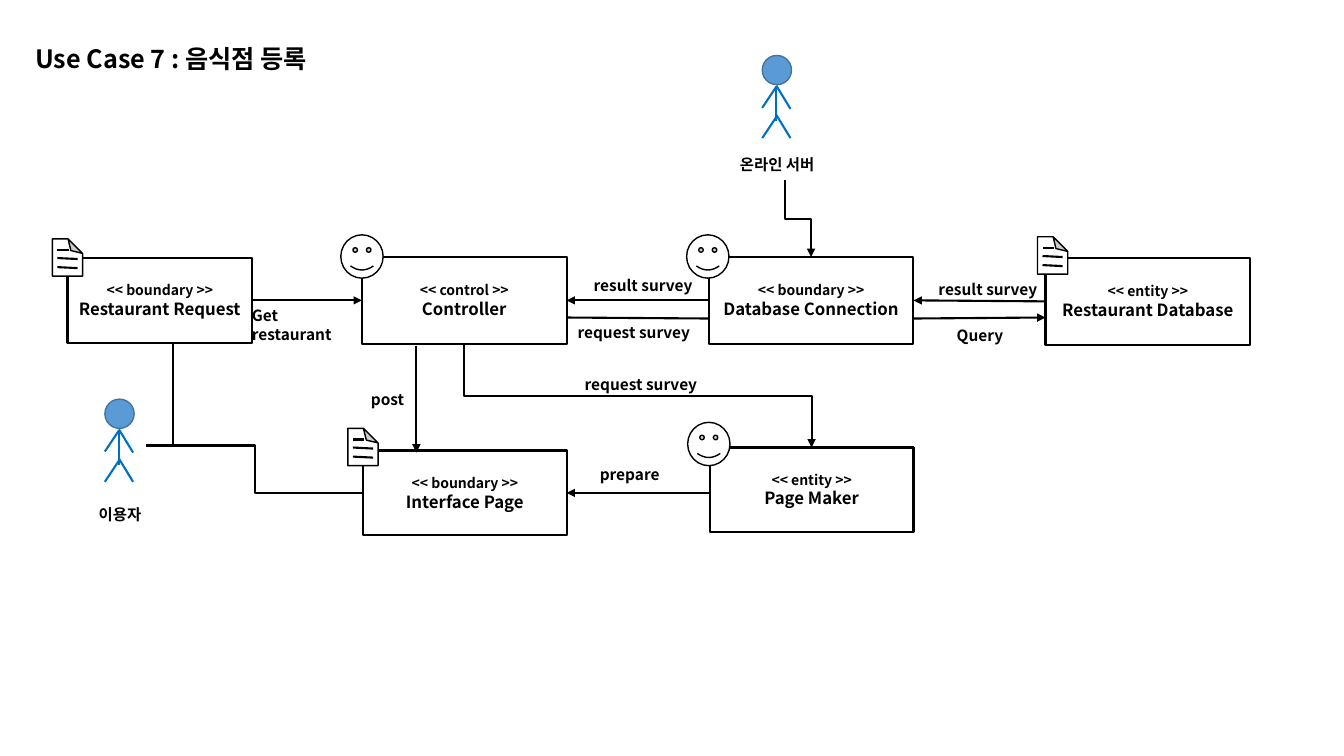
"""Draw the restaurant registration use case as a class collaboration slide."""
from dataclasses import dataclass
from typing import Any, Optional

from pptx import Presentation
from pptx.dml.color import RGBColor
from pptx.enum.shapes import MSO_CONNECTOR, MSO_SHAPE
from pptx.enum.text import MSO_ANCHOR, MSO_AUTO_SIZE, PP_ALIGN
from pptx.oxml.ns import qn
from pptx.util import Inches, Pt

BLACK = RGBColor(0x00, 0x00, 0x00)
WHITE = RGBColor(0xFF, 0xFF, 0xFF)
HEAD = RGBColor(0x5B, 0x9B, 0xD5)
RIM = RGBColor(0x43, 0x73, 0x9E)
LIMB = RGBColor(0x00, 0x70, 0xC0)
FONT = "Noto Sans CJK KR"
WIDE, HIGH = Inches(13.33), Inches(7.5)
COLS, ROWS = 1333, 750
TOP, LEFT, BOTTOM, RIGHT = range(4)
PAGE_LINES = ((5, 28, 25, 29), (5, 19, 25, 20), (5, 11, 16, 11))
LIMBS = ((14, 31, 14, 65), (14, 31, 0, 52), (14, 30, 28, 53),
         (14, 61, 0, 82), (14, 59, 28, 82))


@dataclass
class Box:
    kind: str
    name: str
    col: int
    row: int
    cols: int
    rows: int


@dataclass
class Mark:
    col: int
    row: int


@dataclass
class Actor:
    name: str
    col: int
    row: int
    shift: int
    drop: int
    cols: int


@dataclass
class Label:
    text: str
    col: int
    row: int
    cols: int


@dataclass
class Wire:
    start: tuple[int, int]
    end: tuple[int, int]
    arrow: bool = True
    bent: bool = False
    down: bool = False
    tail: Optional[tuple[str, int]] = None
    tip: Optional[tuple[str, int]] = None


BOXES = (
    Box("control", "Controller", 359, 255, 203, 86),
    Box("boundary", "Interface Page", 360, 447, 202, 84),
    Box("entity", "Page Maker", 704, 444, 202, 84),
    Box("boundary", "Database Connection", 703, 255, 203, 86),
    Box("entity", "Restaurant Database", 1037, 256, 203, 86),
    Box("boundary", "Restaurant Request", 67, 256, 183, 84),
)
FACES = (Mark(338, 233), Mark(681, 233), Mark(682, 419))
PAGES = (Mark(345, 425), Mark(52, 237), Mark(1029, 235))
ACTORS = (Actor("이용자", 104, 396, -16, 99, 91),
          Actor("온라인 서버", 756, 55, -32, 93, 103))
WIRES = (
    Wire((360, 489), (145, 442), arrow=False, bent=True, tail=("Interface Page", LEFT)),
    Wire((172, 341), (172, 443), arrow=False),
    Wire((250, 299), (359, 298), tail=("Restaurant Request", RIGHT), tip=("Controller", LEFT)),
    Wire((703, 298), (562, 298), tail=("Database Connection", LEFT), tip=("Controller", RIGHT)),
    Wire((1037, 299), (906, 298), tail=("Restaurant Database", LEFT),
         tip=("Database Connection", RIGHT)),
    Wire((703, 316), (562, 315), arrow=False),
    Wire((413, 343), (413, 449)),
    Wire((461, 341), (805, 444), bent=True, down=True, tail=("Controller", BOTTOM),
         tip=("Page Maker", TOP)),
    Wire((704, 489), (562, 489), tip=("Interface Page", RIGHT)),
    Wire((906, 316), (1037, 315)),
    Wire((779, 179), (804, 255), bent=True, down=True, tip=("Database Connection", TOP)),
)
LABELS = (
    Label("Get restaurant", 240, 297, 126),
    Label("result survey", 579, 268, 126),
    Label("request survey", 563, 314, 134),
    Label("Query", 939, 317, 69),
    Label("result survey", 921, 272, 126),
    Label("prepare", 585, 455, 85),
    Label("request survey", 570, 366, 134),
    Label("post", 358, 381, 85),
)


def across(cols: float) -> int:
    return round(WIDE * cols / COLS)


def down(rows: float) -> int:
    return round(HIGH * rows / ROWS)


def place(col: int, row: int, cols: int, rows: int) -> tuple[int, int, int, int]:
    return across(col), down(row), across(cols), down(rows)


def apply(thing: Any, **values: Any) -> None:
    for key, value in values.items():
        setattr(thing, key, value)


def write(part: Any, text: str, size: float, **form: Any) -> None:
    apply(part, **form)
    run = part.add_run()
    run.text = text
    apply(run.font, name=FONT, size=Pt(size), bold=True)
    run.font.color.rgb = BLACK
    props = run._r.get_or_add_rPr()
    props.append(props.makeelement(qn("a:ea"), {"typeface": FONT}))


def draw_shape(home: Any, kind: MSO_SHAPE, spot: tuple[int, int, int, int],
               fill: RGBColor = WHITE, rim: Optional[RGBColor] = BLACK,
               weight: float = 1) -> Any:
    shape = home.add_shape(kind, *place(*spot))
    shape.shadow.inherit = False
    shape.fill.solid()
    shape.fill.fore_color.rgb = fill
    if rim is None:
        shape.line.fill.background()
    else:
        shape.line.color.rgb = rim
        shape.line.width = Pt(weight)
    return shape


def draw_line(home: Any, start: tuple[int, int], end: tuple[int, int],
              tint: RGBColor = BLACK, bent: bool = False, arrow: bool = False) -> Any:
    kind = MSO_CONNECTOR.ELBOW if bent else MSO_CONNECTOR.STRAIGHT
    line = home.add_connector(kind, across(start[0]), down(start[1]),
                              across(end[0]), down(end[1]))
    line.line.color.rgb = tint
    line.line.width = Pt(1.5)
    props = line._element.spPr
    if arrow:
        edge = props.find(qn("a:ln"))
        edge.append(edge.makeelement(qn("a:tailEnd"), {"type": "triangle"}))
    props.append(props.makeelement(qn("a:effectLst"), {}))
    return line


def draw_box(home: Any, box: Box) -> Any:
    shape = draw_shape(home, MSO_SHAPE.RECTANGLE,
                       (box.col, box.row, box.cols, box.rows), weight=1.5)
    frame = shape.text_frame
    apply(frame, vertical_anchor=MSO_ANCHOR.MIDDLE, word_wrap=True)
    write(frame.paragraphs[0], f"<< {box.kind} >>", 10, alignment=PP_ALIGN.CENTER)
    write(frame.add_paragraph(), box.name, 12, alignment=PP_ALIGN.CENTER)
    return shape


def draw_strokes(home: Any, mark: Any, strokes: tuple, tint: RGBColor) -> None:
    for x, y, far, low in strokes:
        draw_line(home, (mark.col + x, mark.row + y),
                  (mark.col + far, mark.row + low), tint)


def draw_page(home: Any, mark: Mark) -> None:
    group = home.add_group_shape().shapes
    sheet = draw_shape(group, MSO_SHAPE.FOLDED_CORNER, (mark.col, mark.row, 30, 37))
    props = sheet._element.spPr
    props.find(qn("a:xfrm")).set("flipV", "1")
    fold = props.find(qn("a:prstGeom")).get_or_add_avLst()
    fold.append(fold.makeelement(qn("a:gd"), {"name": "adj", "fmla": "val 48400"}))
    draw_strokes(group, mark, PAGE_LINES, BLACK)


def draw_actor(home: Any, actor: Actor) -> None:
    group = home.add_group_shape().shapes
    plate = draw_shape(group, MSO_SHAPE.RECTANGLE, (
        actor.col + actor.shift, actor.row + actor.drop, actor.cols, 40), rim=None)
    apply(plate.text_frame, vertical_anchor=MSO_ANCHOR.TOP, word_wrap=True)
    write(plate.text_frame.paragraphs[0], actor.name, 11,
          alignment=PP_ALIGN.JUSTIFY, line_spacing=1.07)
    draw_shape(group, MSO_SHAPE.OVAL, (actor.col, actor.row, 29, 29), HEAD, RIM)
    draw_strokes(group, actor, LIMBS, LIMB)


def draw_wire(home: Any, wire: Wire, boxes: dict[str, Any]) -> None:
    line = draw_line(home, wire.start, wire.end, bent=wire.bent, arrow=wire.arrow)
    if wire.tail:
        line.begin_connect(boxes[wire.tail[0]], wire.tail[1])
    if wire.tip:
        line.end_connect(boxes[wire.tip[0]], wire.tip[1])
    if wire.down:
        wide, high = line.width, line.height
        apply(line, left=line.left + (wide - high) // 2,
              top=line.top + (high - wide) // 2, width=high, height=wide)
        turn = line._element.spPr.find(qn("a:xfrm"))
        apply_turn = {"rot": str(270 * 60000), "flipH": "1"}
        turn.attrib.update(apply_turn)


def draw_text(home: Any, label: Label, rows: int, size: float, **form: Any) -> Any:
    frame = home.add_textbox(*place(label.col, label.row, label.cols, rows)).text_frame
    frame.word_wrap = True
    write(frame.paragraphs[0], label.text, size, **form)
    return frame


def main() -> None:
    deck = Presentation()
    apply(deck, slide_width=WIDE, slide_height=HIGH)
    home = deck.slides.add_slide(deck.slide_layouts[6]).shapes
    boxes = {box.name: draw_box(home, box) for box in BOXES}
    for face in FACES:
        draw_shape(home, MSO_SHAPE.SMILEY_FACE, (face.col, face.row, 42, 43))
    for page in PAGES:
        draw_page(home, page)
    for actor in ACTORS:
        draw_actor(home, actor)
    for wire in WIRES:
        draw_wire(home, wire, boxes)
    for label in LABELS:
        draw_text(home, label, 38, 11, alignment=PP_ALIGN.JUSTIFY, line_spacing=1.07)
    title = draw_text(home, Label("Use Case 7 : 음식점 등록", 25, 38, 349), 40, 18)
    title.auto_size = MSO_AUTO_SIZE.SHAPE_TO_FIT_TEXT
    deck.save("out.pptx")


if __name__ == "__main__":
    main()
